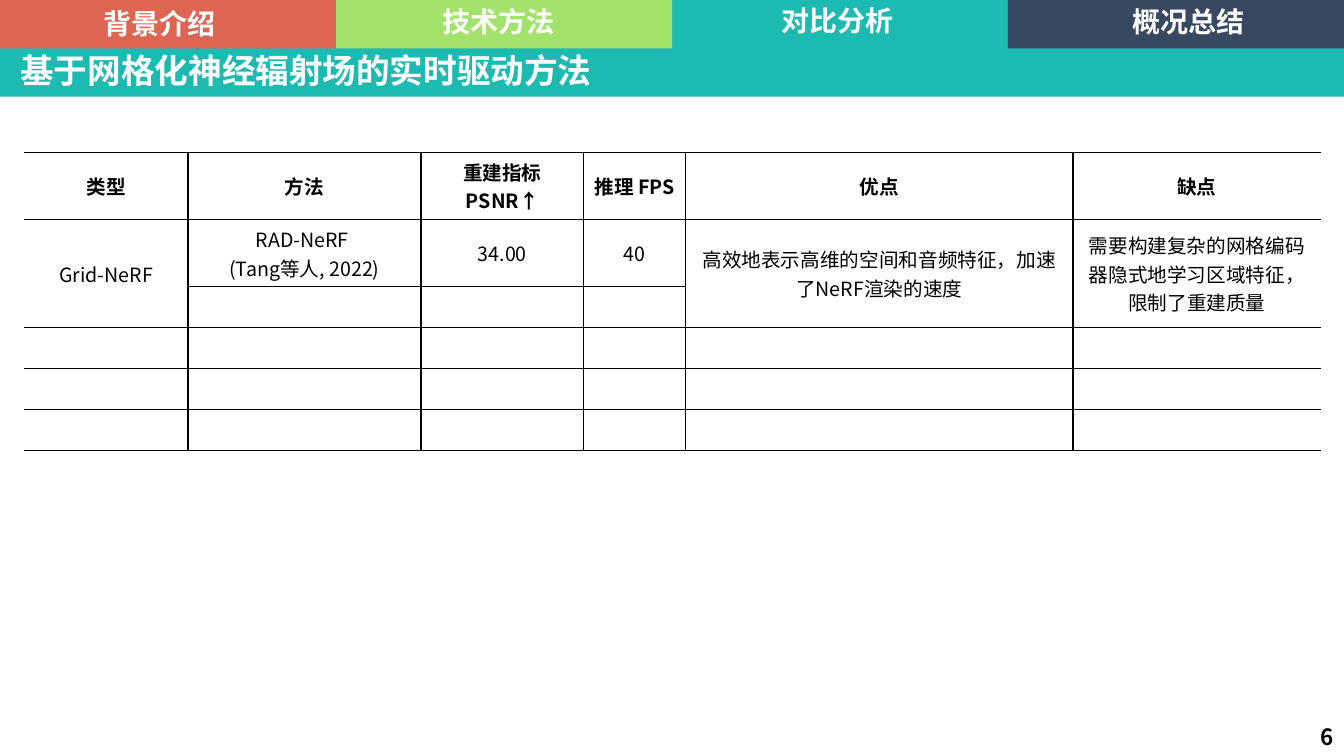
from dataclasses import dataclass

from lxml import etree
from pptx import Presentation
from pptx.dml.color import RGBColor
from pptx.enum.shapes import MSO_SHAPE
from pptx.enum.text import MSO_ANCHOR, MSO_AUTO_SIZE, PP_ALIGN
from pptx.oxml.ns import qn
from pptx.util import Emu, Pt

ROUNDED = MSO_SHAPE.ROUNDED_RECTANGLE
TOP, MIDDLE = MSO_ANCHOR.TOP, MSO_ANCHOR.MIDDLE
LEFT, CENTER, RIGHT = PP_ALIGN.LEFT, PP_ALIGN.CENTER, PP_ALIGN.RIGHT
GROW = MSO_AUTO_SIZE.SHAPE_TO_FIT_TEXT
FIXED = MSO_AUTO_SIZE.NONE

EMU_PER_PX = 9525
PAGE_WIDTH, PAGE_HEIGHT = 1280, 720
TAB_WIDTH, TAB_HEIGHT = 320, 46
BAND_HEIGHT = 92
FONT = "Noto Sans CJK SC"
COLORS = {
    "teal": "1DBAB2",
    "coral": "DE6552",
    "navy": "384860",
    "lime": "A3E26B",
    "white": "FFFFFF",
    "black": "000000",
}


@dataclass(frozen=True)
class Block:
    left: int
    width: int
    height: int
    color: str


@dataclass(frozen=True)
class Label:
    text: str
    left: int
    top: int
    width: int
    height: int
    size: int = 20
    color: str = "white"
    align: PP_ALIGN = LEFT
    anchor: MSO_ANCHOR = TOP
    grows: bool = False
    shadow: bool = False


@dataclass(frozen=True)
class Entry:
    row: int
    column: int
    lines: tuple[str, ...]
    rows: int = 1
    bold: bool = False


BLOCKS = [
    Block(0, PAGE_WIDTH, BAND_HEIGHT, "teal"),
    Block(0, TAB_WIDTH, TAB_HEIGHT, "coral"),
    Block(3 * TAB_WIDTH, TAB_WIDTH, TAB_HEIGHT, "navy"),
    Block(TAB_WIDTH, TAB_WIDTH, TAB_HEIGHT, "lime"),
]
TAB_LABELS = [
    Label(text, left, top, 135, 42, grows=True, shadow=True)
    for text, left, top in [
        ("背景介绍", 89, 1),
        ("技术方法", 412, 0),
        ("对比分析", 735, -1),
        ("概况总结", 1069, 0),
    ]
]
PAGE_NUMBER = Label("6", 1207, 682, 73, 38, 16, "black", RIGHT, MIDDLE)
TITLE = Label("基于网格化神经辐射场的实时驱动方法", 10, 43, 580, 45, 24)

TABLE_LEFT, TABLE_TOP = 23, 145
COLUMN_WIDTHS = [156, 222, 155, 97, 369, 236]
ROW_COUNT, ROW_HEIGHT = 6, 39
HEADINGS = ["类型", "方法", "重建指标 PSNR↑", "推理 FPS", "优点", "缺点"]
ENTRIES = [
    Entry(0, column, (heading,), bold=True) for column, heading in enumerate(HEADINGS)
] + [
    Entry(1, 0, ("Grid-NeRF",), rows=2),
    Entry(1, 1, ("RAD-NeRF ", "(Tang等人, 2022)")),
    Entry(1, 2, ("34.00",)),
    Entry(1, 3, ("40",)),
    Entry(1, 4, ("高效地表示高维的空间和音频特征，加速了NeRF渲染的速度",), rows=2),
    Entry(1, 5, ("需要构建复杂的网格编码器隐式地学习区域特征，限制了重建质量",), rows=2),
]


def px(length: int) -> Emu:
    return Emu(length * EMU_PER_PX)


def rgb(color: str) -> RGBColor:
    return RGBColor.from_string(COLORS[color])


def add_span(para, text: str, size: int, color: str, bold: bool):
    span = para.add_run()
    span.text = text
    span.font.size = Pt(size)
    span.font.bold = bold
    span.font.color.rgb = rgb(color)
    span.font.name = FONT
    properties = span.font._element
    etree.SubElement(properties, qn("a:ea"), typeface=FONT)
    return properties


def add_text_shadow(properties) -> None:
    effects = etree.Element(qn("a:effectLst"))
    shadow = etree.SubElement(
        effects, qn("a:outerShdw"), blurRad="38100", dist="38100", dir="2700000", algn="tl"
    )
    tint = etree.SubElement(shadow, qn("a:srgbClr"), val=COLORS["black"])
    etree.SubElement(tint, qn("a:alpha"), val="43000")
    properties.find(qn("a:solidFill")).addnext(effects)


def draw_block(page, block: Block) -> None:
    shape = page.shapes.add_shape(ROUNDED, 0, 0, px(block.width), px(block.height))
    shape.left = px(block.left)
    shape.adjustments[0] = 0
    shape.shadow.inherit = False
    shape.fill.solid()
    shape.fill.fore_color.rgb = rgb(block.color)
    shape.line.fill.background()


def draw_label(page, label: Label) -> None:
    box = page.shapes.add_textbox(
        px(label.left), px(label.top), px(label.width), px(label.height)
    )
    frame = box.text_frame
    frame.word_wrap = True
    frame.auto_size = GROW if label.grows else FIXED
    frame.vertical_anchor = label.anchor
    para = frame.paragraphs[0]
    para.alignment = label.align
    properties = add_span(para, label.text, label.size, label.color, True)
    if label.shadow:
        add_text_shadow(properties)


def style_cell(cell, column: int) -> None:
    open_sides = {0: "lnL", len(COLUMN_WIDTHS) - 1: "lnR"}
    properties = cell._tc.get_or_add_tcPr()
    for side in ("lnL", "lnR", "lnT", "lnB"):
        line = etree.SubElement(properties, qn(f"a:{side}"), w=str(Pt(1)))
        if open_sides.get(column) == side:
            etree.SubElement(line, qn("a:noFill"))
        else:
            fill = etree.SubElement(line, qn("a:solidFill"))
            etree.SubElement(fill, qn("a:srgbClr"), val=COLORS["black"])
    cell.fill.background()
    cell.vertical_anchor = MIDDLE


def draw_table(page) -> None:
    table = page.shapes.add_table(
        ROW_COUNT, len(COLUMN_WIDTHS), px(TABLE_LEFT), px(TABLE_TOP),
        px(sum(COLUMN_WIDTHS)), px(ROW_COUNT * ROW_HEIGHT),
    ).table
    table.first_row = False
    table.horz_banding = False
    for column, width in enumerate(COLUMN_WIDTHS):
        table.columns[column].width = px(width)
        for row in range(ROW_COUNT):
            style_cell(table.cell(row, column), column)
    for entry in ENTRIES:
        cell = table.cell(entry.row, entry.column)
        if entry.rows > 1:
            cell.merge(table.cell(entry.row + entry.rows - 1, entry.column))
        frame = cell.text_frame
        for index, line in enumerate(entry.lines):
            para = frame.add_paragraph() if index else frame.paragraphs[0]
            para.alignment = CENTER
            add_span(para, line, 14, "black", entry.bold)


def main() -> None:
    deck = Presentation()
    deck.slide_width, deck.slide_height = px(PAGE_WIDTH), px(PAGE_HEIGHT)
    page = deck.slides.add_slide(deck.slide_layouts[6])
    for block in BLOCKS:
        draw_block(page, block)
    draw_table(page)
    for label in [PAGE_NUMBER, *TAB_LABELS, TITLE]:
        draw_label(page, label)
    deck.save("out.pptx")


if __name__ == "__main__":
    main()
